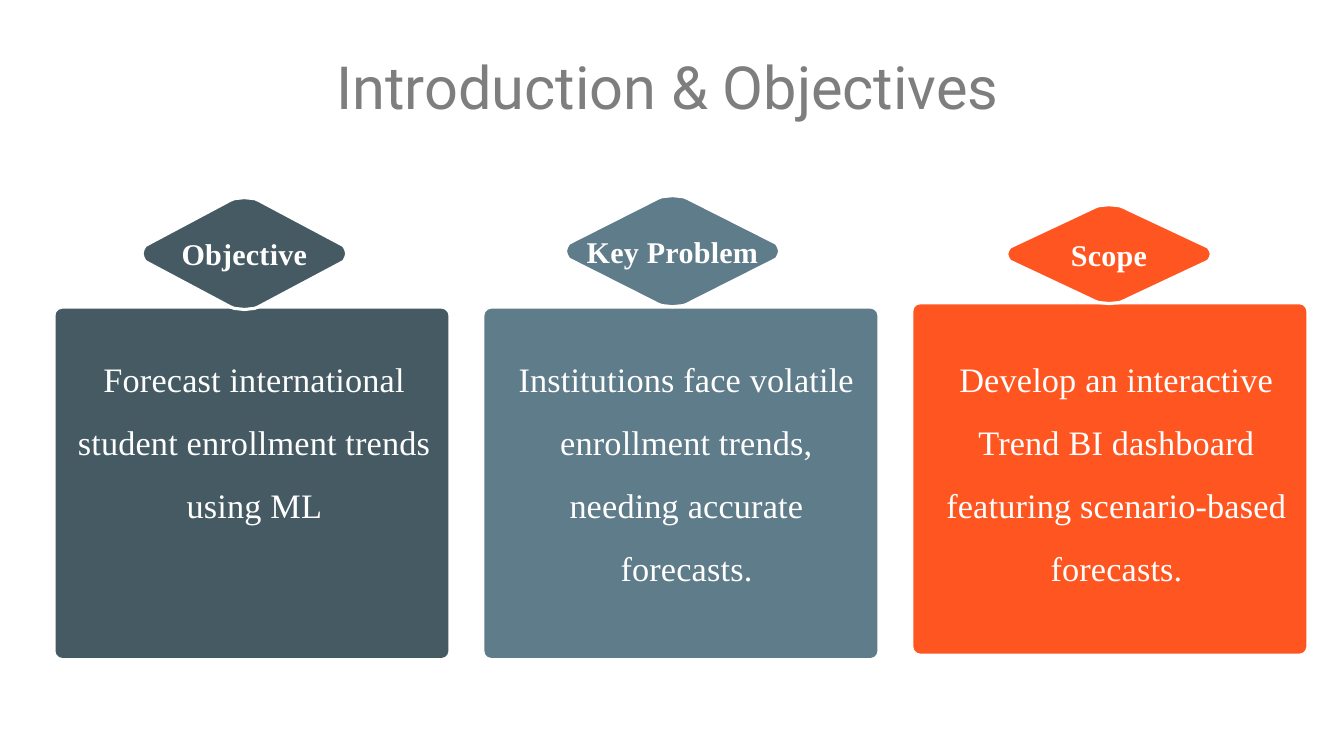
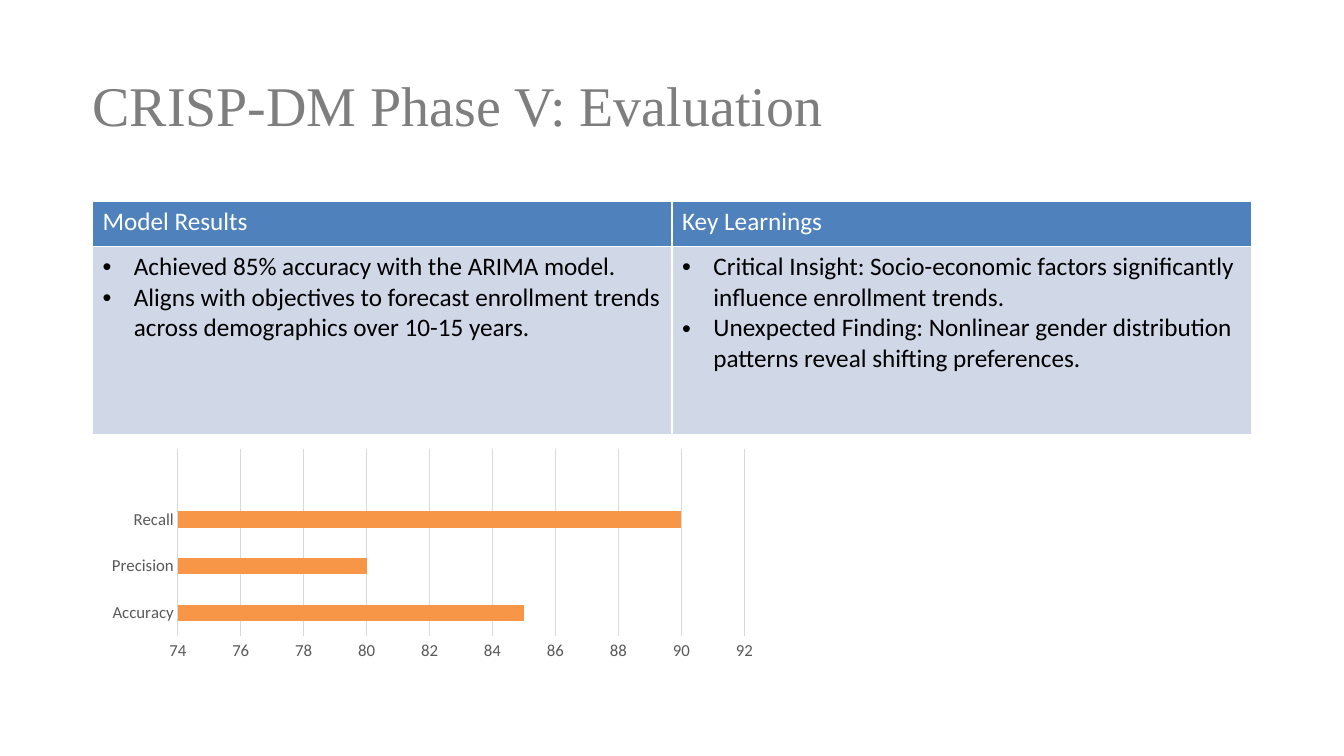
"""Build two slides on enrollment forecasting: objectives and model evaluation."""
from dataclasses import dataclass

from lxml.etree import SubElement
from pptx import Presentation
from pptx.chart.data import CategoryChartData
from pptx.dml.color import RGBColor
from pptx.enum.chart import XL_CHART_TYPE, XL_TICK_MARK
from pptx.enum.shapes import MSO_SHAPE
from pptx.enum.text import MSO_ANCHOR, MSO_AUTO_SIZE, PP_ALIGN
from pptx.oxml.ns import qn
from pptx.util import Cm, Pt


@dataclass(frozen=True)
class Theme:
    white: str = "FFFFFF"
    black: str = "000000"
    title_gray: str = "7E7E7E"
    slate: str = "455A63"
    steel: str = "5F7C8A"
    orange: str = "FF5621"
    header_blue: str = "4F81BD"
    cell_blue: str = "D0D8E8"
    bar_orange: str = "F79646"
    grid_gray: str = "D9D9D9"
    label_gray: str = "595959"
    serif: str = "Times New Roman"
    sans: str = "Calibri"
    display: str = "Roboto"
    intro_title_size: float = 42.5
    title_size: float = 40
    card_size: float = 24.5
    tag_size: float = 21.5
    table_size: float = 18
    axis_size: float = 12


THEME = Theme()

CARDS = [
    {"tag": "Objective", "text": "Forecast international student enrollment trends using ML",
     "color": THEME.slate, "top": 7.78, "text_left": 1.88, "text_width": 9.07,
     "diamond": (3.58, 4.98, 5.16, 2.82)},
    {"tag": "Key Problem",
     "text": "Institutions face volatile enrollment trends, needing accurate forecasts.",
     "color": THEME.steel, "top": 7.78, "text_left": 13, "text_width": 8.61,
     "diamond": (14.25, 4.93, 5.4, 2.8)},
    {"tag": "Scope",
     "text": "Develop an interactive Trend BI dashboard featuring scenario-based forecasts.",
     "color": THEME.orange, "top": 7.67, "text_left": 23.77, "text_width": 8.74,
     "diamond": (25.37, 5.16, 5.16, 2.49)},
]
CARD_LEFT, CARD_PITCH, CARD_WIDTH, CARD_HEIGHT = 1.4, 10.81, 9.9, 8.8
CARD_TEXT_TOP, CARD_TEXT_HEIGHT = 8.48, 6.43

DIAMOND_QUADRANT = [(0, 1), (0.05, 0.99), (0.1, 0.98), (0.14, 0.95), (0.18, 0.91),
                    (0.92, 0.19), (0.97, 0.14), (0.99, 0.07), (1, 0)]

FINDINGS = [
    ("Model Results", [
        "Achieved 85% accuracy with the ARIMA model.",
        "Aligns with objectives to forecast enrollment trends across demographics over 10-15 years.",
    ]),
    ("Key Learnings", [
        "Critical Insight: Socio-economic factors significantly influence enrollment trends.",
        "Unexpected Finding: Nonlinear gender distribution patterns reveal shifting preferences.",
    ]),
]
SCORES = [("Accuracy", 85), ("Precision", 80), ("Recall", 90), ("", None)]
PLOT_AREA = {"x": 0.125, "y": 0.063, "w": 0.829, "h": 0.772}


def rgb(color):
    return RGBColor.from_string(color)


def fill_solid(target, color):
    target.fill.solid()
    target.fill.fore_color.rgb = rgb(color)


def style_font(font, name, size, color, bold=False):
    font.name, font.size, font.bold = name, Pt(size), bold
    font.color.rgb = rgb(color)


def add_run(paragraph, text, name, size, color, bold=False, spacing=0):
    run = paragraph.add_run()
    run.text = text
    style_font(run.font, name, size, color, bold)
    if spacing:
        run.font._element.set("spc", str(spacing))


def prepare_frame(frame, anchor, wrap=True):
    frame.margin_left = frame.margin_top = frame.margin_right = frame.margin_bottom = 0
    frame.auto_size = MSO_AUTO_SIZE.NONE
    frame.word_wrap = wrap
    frame.vertical_anchor = anchor
    return frame.paragraphs[0]


def add_titled_slide(presentation, text, box, name, size):
    slide = presentation.slides.add_slide(presentation.slide_layouts[5])
    title = slide.shapes.title
    title.left, title.top, title.width, title.height = map(Cm, box)
    paragraph = prepare_frame(title.text_frame, MSO_ANCHOR.MIDDLE)
    paragraph.alignment = PP_ALIGN.LEFT
    add_run(paragraph, text, name, size, THEME.title_gray)
    return slide


def add_diamond(slide, card):
    left, top, width, height = card["diamond"]
    upper_right = DIAMOND_QUADRANT
    lower_right = [(x, -y) for x, y in reversed(upper_right[:-1])]
    right = upper_right + lower_right
    outline = right + [(-x, -y) for x, y in right[1:-1]]
    points = [(Cm(left + width * (1 + x) / 2), Cm(top + height * (1 - y) / 2))
              for x, y in outline]
    builder = slide.shapes.build_freeform(*points[0])
    builder.add_line_segments(points[1:], close=True)
    diamond = builder.convert_to_shape()
    diamond.shadow.inherit = False
    fill_solid(diamond, card["color"])
    diamond.line.color.rgb = rgb(THEME.white)
    diamond.line.width = Pt(2.25)
    paragraph = prepare_frame(diamond.text_frame, MSO_ANCHOR.MIDDLE, wrap=False)
    paragraph.alignment = PP_ALIGN.CENTER
    add_run(paragraph, card["tag"], THEME.serif, THEME.tag_size, THEME.white, True, 20)


def add_card(slide, index, card):
    panel = slide.shapes.add_shape(
        MSO_SHAPE.ROUNDED_RECTANGLE, Cm(CARD_LEFT + index * CARD_PITCH), Cm(card["top"]),
        Cm(CARD_WIDTH), Cm(CARD_HEIGHT))
    panel.adjustments[0] = 0.02
    panel.shadow.inherit = False
    fill_solid(panel, card["color"])
    panel.line.fill.background()
    box = slide.shapes.add_textbox(Cm(card["text_left"]), Cm(CARD_TEXT_TOP),
                                   Cm(card["text_width"]), Cm(CARD_TEXT_HEIGHT))
    paragraph = prepare_frame(box.text_frame, MSO_ANCHOR.TOP)
    paragraph.alignment = PP_ALIGN.CENTER
    paragraph.line_spacing = 1.53
    paragraph.space_before = Pt(0.9)
    add_run(paragraph, card["text"], THEME.serif, THEME.card_size, THEME.white, spacing=15)
    add_diamond(slide, card)


def style_cell(cell, color):
    properties = cell._tc.get_or_add_tcPr()
    for side in ("a:lnL", "a:lnR", "a:lnT", "a:lnB"):
        border = SubElement(properties, qn(side), w=str(Pt(1)))
        border_fill = SubElement(border, qn("a:solidFill"))
        SubElement(border_fill, qn("a:srgbClr"), val=THEME.white)
    fill_solid(cell, color)


def add_bullet(paragraph):
    properties = paragraph._p.get_or_add_pPr()
    properties.set("marL", str(Cm(0.79)))
    properties.set("indent", str(-Cm(0.79)))
    SubElement(properties, qn("a:buFont"), typeface="Arial")
    SubElement(properties, qn("a:buChar"), char="•")


def add_findings_table(slide):
    frame = slide.shapes.add_table(2, len(FINDINGS), Cm(2.33), Cm(5.08), Cm(29.21), Cm(5.86))
    table = frame.table
    table.rows[0].height, table.rows[1].height = Cm(1.13), Cm(4.73)
    for column, (heading, points) in enumerate(FINDINGS):
        header, body = table.cell(0, column), table.cell(1, column)
        style_cell(header, THEME.header_blue)
        style_cell(body, THEME.cell_blue)
        add_run(header.text_frame.paragraphs[0], heading,
                THEME.sans, THEME.table_size, THEME.white)
        for number, point in enumerate(points):
            text_frame = body.text_frame
            paragraph = text_frame.add_paragraph() if number else text_frame.paragraphs[0]
            add_bullet(paragraph)
            add_run(paragraph, point, THEME.sans, THEME.table_size, THEME.black)


def place_plot_area(chart):
    plot_area = chart._chartSpace.chart.plotArea
    for old_layout in plot_area.findall(qn("c:layout")):
        plot_area.remove(old_layout)
    layout = SubElement(plot_area, qn("c:layout"))
    plot_area.insert(0, layout)
    manual = SubElement(layout, qn("c:manualLayout"))
    SubElement(manual, qn("c:layoutTarget"), val="inner")
    for key in ("x", "y"):
        SubElement(manual, qn(f"c:{key}Mode"), val="edge")
    for key, value in PLOT_AREA.items():
        SubElement(manual, qn(f"c:{key}"), val=str(value))


def add_score_chart(slide):
    data = CategoryChartData()
    data.categories = [name for name, _ in SCORES]
    data.add_series("Series 1", [score for _, score in SCORES])
    chart = slide.shapes.add_chart(XL_CHART_TYPE.BAR_CLUSTERED, Cm(2.33), Cm(10.93),
                                   Cm(17.22), Cm(6.12), data).chart
    chart.has_legend = chart.has_title = False
    style_font(chart.font, THEME.sans, THEME.axis_size, THEME.label_gray)
    plot = chart.plots[0]
    plot.gap_width = 182
    plot.vary_by_categories = False
    fill_solid(plot.series[0].format, THEME.bar_orange)
    values = chart.value_axis
    values.minimum_scale, values.maximum_scale, values.major_unit = 74, 92, 2
    values.has_major_gridlines = True
    values.format.line.fill.background()
    for axis in (chart.category_axis, values):
        axis.major_tick_mark = axis.minor_tick_mark = XL_TICK_MARK.NONE
        style_font(axis.tick_labels.font, THEME.sans, THEME.axis_size, THEME.label_gray)
    for line in (chart.category_axis.format.line, values.major_gridlines.format.line):
        line.color.rgb = rgb(THEME.grid_gray)
        line.width = Pt(0.75)
    place_plot_area(chart)


def main():
    presentation = Presentation()
    presentation.slide_width, presentation.slide_height = Cm(33.87), Cm(19.05)

    introduction = add_titled_slide(presentation, "Introduction & Objectives",
                                    (8.48, 1.22, 17.2, 1.88),
                                    THEME.display, THEME.intro_title_size)
    for index, card in enumerate(CARDS):
        add_card(introduction, index, card)

    evaluation = add_titled_slide(presentation, "CRISP-DM Phase V: Evaluation",
                                  (2.33, 1.78, 22.23, 1.7), THEME.serif, THEME.title_size)
    add_findings_table(evaluation)
    add_score_chart(evaluation)

    presentation.save("out.pptx")


if __name__ == "__main__":
    main()
